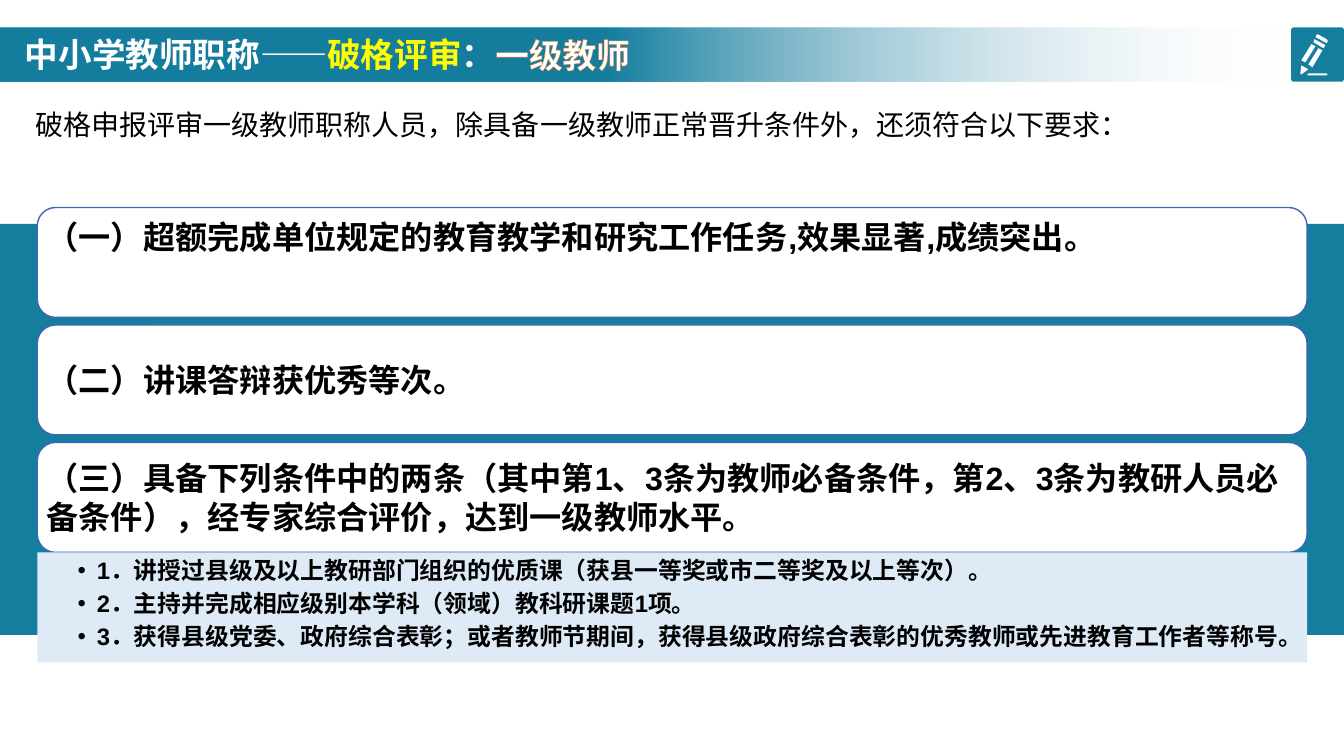
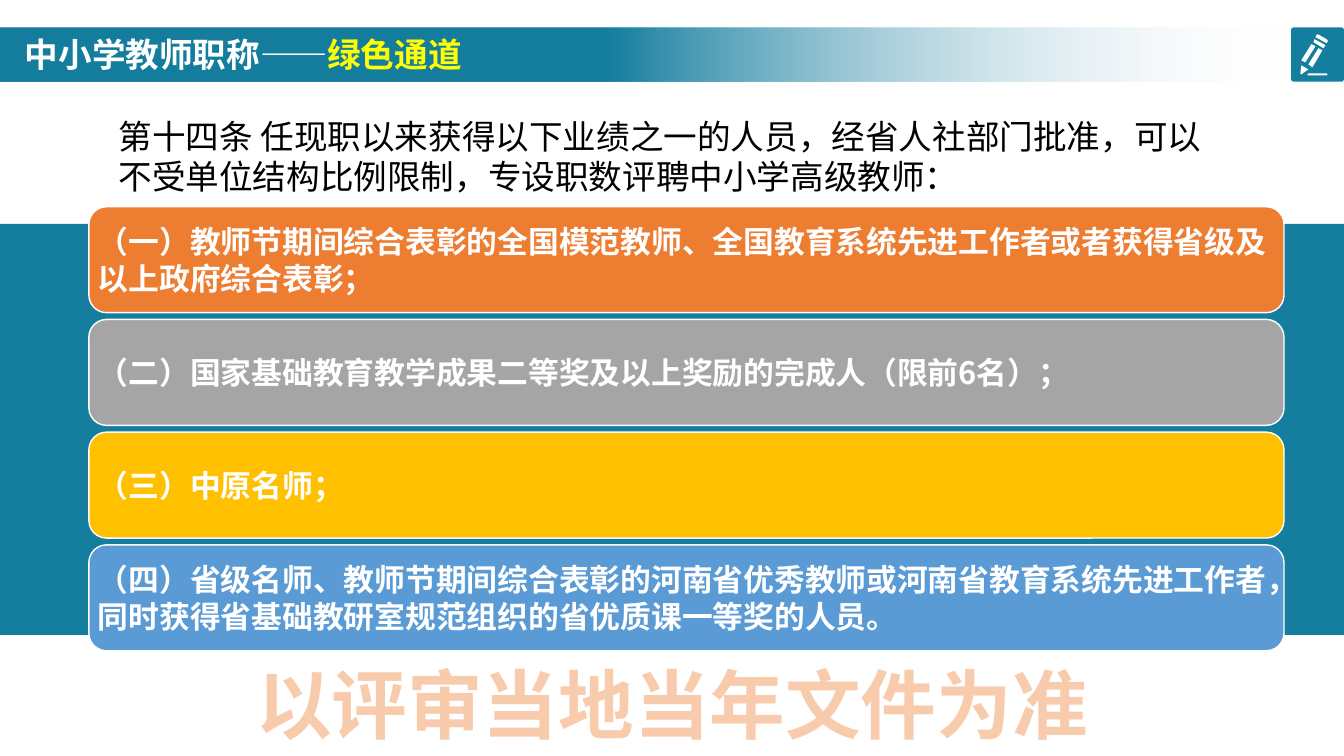
from dataclasses import dataclass

from lxml import etree
from pptx import Presentation
from pptx import util as u
from pptx.dml.color import RGBColor
from pptx.enum import shapes, text
from pptx.oxml.ns import qn


@dataclass(frozen=True)
class Theme:
    """Colours, fonts and type sizes of the deck."""
    teal: str = "157E9F"
    mist: str = "F6F8FC"
    white: str = "FFFFFF"
    black: str = "000000"
    yellow: str = "FFFF00"
    orange: str = "ED7D31"
    grey: str = "A5A5A5"
    gold: str = "FFC000"
    blue: str = "5B9BD5"
    edge: str = "3E67B2"
    pale: str = "DEEBF7"
    peach: str = "F8CBAD"
    latin: str = "Arial"
    asian: str = "Noto Sans CJK SC"
    title: int = 24
    lead: int = 20
    card: int = 23
    card_small: int = 22
    detail: int = 17
    closing: int = 54
    leading: float = 1.2


THEME = Theme()
WIDTH, HEIGHT = 33.87, 19.05
PENCIL = [
    [(23, 14), (13, 8), (14, 5), (25, 11)],
    [(27, 8), (27, 6), (26, 5), (19, 1), (17, 0), (16, 1), (15, 3), (26, 9)],
    [(12, 33), (22, 16), (18, 14), (8, 30)],
    [(1, 31), (0, 39), (1, 40), (8, 35)],
    [(15, 12), (11, 10), (1, 26), (5, 28)],
    [(8, 39), (26, 39), (27, 40), (26, 41), (8, 41), (7, 40)],
]


def place(box):
    """Turn a box in centimetres into lengths."""
    return [u.Cm(value) for value in box]


def paint(shape, fill, line=None):
    """Give a shape a flat fill and an optional one-point line."""
    shape.shadow.inherit = False
    shape.fill.solid()
    shape.fill.fore_color.rgb = RGBColor.from_string(fill)
    if line:
        shape.line.color.rgb = RGBColor.from_string(line)
        shape.line.width = u.Pt(1)
    else:
        shape.line.fill.background()


def add_panel(page, box, fill, line=None, kind=shapes.MSO_SHAPE.RECTANGLE):
    """Add a filled preset shape."""
    panel = page.shapes.add_shape(kind, *place(box))
    paint(panel, fill, line)
    return panel


def style_span(span, size, color, bold=False, font=THEME.latin):
    """Set the font of one run, for Latin and Chinese letters."""
    span.font.size = u.Pt(size)
    span.font.bold = bold
    span.font.name = font
    span.font.color.rgb = RGBColor.from_string(color)
    asian = etree.SubElement(span.font._element, qn("a:ea"))
    asian.set("typeface", THEME.asian)


def outline_span(span, color, width):
    """Draw a line around the letters of one run."""
    line = etree.Element(qn("a:ln"), w=str(u.Pt(width)))
    fill = etree.SubElement(line, qn("a:solidFill"))
    etree.SubElement(fill, qn("a:srgbClr"), val=color)
    span.font._element.insert(0, line)


def set_frame(shape, margins=(0.25, 0.13, 0.25, 0.13), anchor=text.MSO_ANCHOR.TOP):
    """Set wrapping, margins and anchor, and return the text frame."""
    frame = shape.text_frame
    frame.word_wrap = True
    frame.vertical_anchor = anchor
    (frame.margin_left, frame.margin_top,
     frame.margin_right, frame.margin_bottom) = place(margins)
    return frame


def write(frame, words, size, color, align=text.PP_ALIGN.LEFT, **style):
    """Fill a frame with one paragraph of a single style."""
    frame.text = words
    para = frame.paragraphs[0]
    para.alignment = align
    para.line_spacing = u.Pt(size * THEME.leading)
    style_span(para.runs[0], size, color, **style)
    return para.runs[0]


def add_band(page, box):
    """Add the title band, which fades out to the right."""
    band = add_panel(page, box, THEME.teal)
    band.fill.gradient()
    band.fill.gradient_angle = 180
    clear, solid = band.fill.gradient_stops
    clear.position, solid.position = 0, 0.53
    clear.color.rgb = RGBColor.from_string(THEME.mist)
    solid.color.rgb = RGBColor.from_string(THEME.teal)
    tint = band.element.find(".//" + qn("a:srgbClr"))
    etree.SubElement(tint, qn("a:alpha"), val="0")


def add_badge(page, box):
    """Add the corner badge with its pencil."""
    badge = add_panel(page, box, THEME.teal, kind=shapes.MSO_SHAPE.ROUNDED_RECTANGLE)
    badge.adjustments[0] = 0.05
    builder = page.shapes.build_freeform(*PENCIL[0][0], scale=u.Cm(0.0254))
    for index, outline in enumerate(PENCIL):
        if index:
            builder.move_to(*outline[0])
        builder.add_line_segments(outline[1:], close=True)
    left, top = box[:2]
    paint(builder.convert_to_shape(u.Cm(left + 0.23), u.Cm(top + 0.17)), THEME.white)


def add_title(page, box, parts):
    """Add the title from (words, colour, outlined) parts."""
    frame = set_frame(page.shapes.add_textbox(*place(box)), anchor=text.MSO_ANCHOR.MIDDLE)
    para = frame.paragraphs[0]
    para.line_spacing = u.Pt(THEME.title * THEME.leading)
    for words, color, outlined in parts:
        span = para.add_run()
        span.text = words
        style_span(span, THEME.title, color, bold=True)
        if outlined:
            outline_span(span, THEME.orange, 0.52)


def add_page(deck, parts):
    """Add a slide with the shared band, badge, panel and title."""
    page = deck.slides.add_slide(deck.slide_layouts[6])
    add_band(page, (0, 0.71, 32.51, 1.35))
    add_badge(page, (32.54, 0.69, 1.33, 1.37))
    add_panel(page, (0, 5.64, WIDTH, 10.36), THEME.teal)
    add_title(page, (0.38, 0.79, 22.63, 1.17),
              [("中小学教师职称——", THEME.white, False), *parts])
    return page


def add_lead(page, box, words, size):
    """Add the introductory sentence."""
    frame = set_frame(page.shapes.add_textbox(*place(box)))
    write(frame, words, size, THEME.black)


def add_cards(page, box, gap, cards, line, size, color, font):
    """Stack equal rounded cards given as (words, fill, anchor)."""
    left, top, width, height = box
    card_height = (height - gap * (len(cards) - 1)) / len(cards)
    for index, (words, fill, anchor) in enumerate(cards):
        card = add_panel(page, (left, top + index * (card_height + gap), width, card_height),
                         fill, line, shapes.MSO_SHAPE.ROUNDED_RECTANGLE)
        frame = set_frame(card, (0.1,) * 4, anchor)
        write(frame, words, size, color, bold=True, font=font)


def add_details(page, box, items):
    """Add the bulleted panel below the cards."""
    frame = set_frame(add_panel(page, box, THEME.pale), (1.02, 0.08, 0.1, 0.08))
    frame.text = "\n".join(items)
    for para in frame.paragraphs:
        properties = para._p.get_or_add_pPr()
        properties.set("marL", str(u.Cm(0.48)))
        properties.set("indent", str(-u.Cm(0.48)))
        etree.SubElement(properties, qn("a:buFont"), typeface=THEME.latin)
        etree.SubElement(properties, qn("a:buChar"), char="•")
        para.alignment = text.PP_ALIGN.LEFT
        para.line_spacing = u.Pt(THEME.detail * THEME.leading)
        para.space_after = u.Pt(THEME.detail * 0.2)
        style_span(para.runs[0], THEME.detail, THEME.black, bold=True)


def add_closing(page, box, words):
    """Add the large closing line."""
    frame = set_frame(page.shapes.add_textbox(*place(box)))
    span = write(frame, words, THEME.closing, THEME.peach,
                 align=text.PP_ALIGN.CENTER, bold=True)
    outline_span(span, THEME.orange, 1.75)


def build_exception_page(deck):
    """Build the slide on exceptional review."""
    page = add_page(deck, [("破格评审", THEME.yellow, False), ("：", THEME.white, False),
                           ("一级教师", THEME.white, True)])
    add_lead(page, (0.64, 2.59, 32.61, 1.12),
             "破格申报评审一级教师职称人员，除具备一级教师正常晋升条件外，还须符合以下要求：",
             THEME.lead)
    top, middle = text.MSO_ANCHOR.TOP, text.MSO_ANCHOR.MIDDLE
    cards = [
        ("（一）超额完成单位规定的教育教学和研究工作任务,效果显著,成绩突出。", THEME.white, top),
        ("（二）讲课答辩获优秀等次。", THEME.white, middle),
        ("（三）具备下列条件中的两条（其中第1、3条为教师必备条件，第2、3条为教研人员必备条件），"
         "经专家综合评价，达到一级教师水平。", THEME.white, middle),
    ]
    add_cards(page, (0.94, 5.23, 32, 8.69), 0.19, cards,
              THEME.edge, THEME.card, THEME.black, THEME.latin)
    add_details(page, (0.94, 13.92, 32, 2.77), [
        "1．讲授过县级及以上教研部门组织的优质课（获县一等奖或市二等奖及以上等次）。",
        "2．主持并完成相应级别本学科（领域）教科研课题1项。",
        "3．获得县级党委、政府综合表彰；或者教师节期间，获得县级政府综合表彰的优秀教师或先进教育工作者等称号。",
    ])


def build_green_channel_page(deck):
    """Build the slide on the green channel."""
    page = add_page(deck, [("绿色通道", THEME.yellow, False)])
    add_closing(page, (6.1, 16.45, 21.67, 2.5), "以评审当地当年文件为准")
    add_lead(page, (2.74, 2.79, 28.4, 2.31),
             "第十四条 任现职以来获得以下业绩之一的人员，经省人社部门批准，"
             "可以不受单位结构比例限制，专设职数评聘中小学高级教师：", THEME.title)
    middle = text.MSO_ANCHOR.MIDDLE
    cards = [
        ("（一）教师节期间综合表彰的全国模范教师、全国教育系统先进工作者或者获得省级及以上政府综合表彰；",
         THEME.orange, middle),
        ("（二）国家基础教育教学成果二等奖及以上奖励的完成人（限前6名）；", THEME.grey, middle),
        ("（三）中原名师；", THEME.gold, middle),
        ("（四）省级名师、教师节期间综合表彰的河南省优秀教师或河南省教育系统先进工作者，"
         "同时获得省基础教研室规范组织的省优质课一等奖的人员。", THEME.blue, middle),
    ]
    add_cards(page, (2.24, 5.21, 30.12, 11.19), 0.17, cards,
              THEME.white, THEME.card_small, THEME.white, THEME.asian)


def main():
    """Build and save the deck."""
    deck = Presentation()
    deck.slide_width, deck.slide_height = u.Cm(WIDTH), u.Cm(HEIGHT)
    build_exception_page(deck)
    build_green_channel_page(deck)
    deck.save("out.pptx")


if __name__ == "__main__":
    main()
